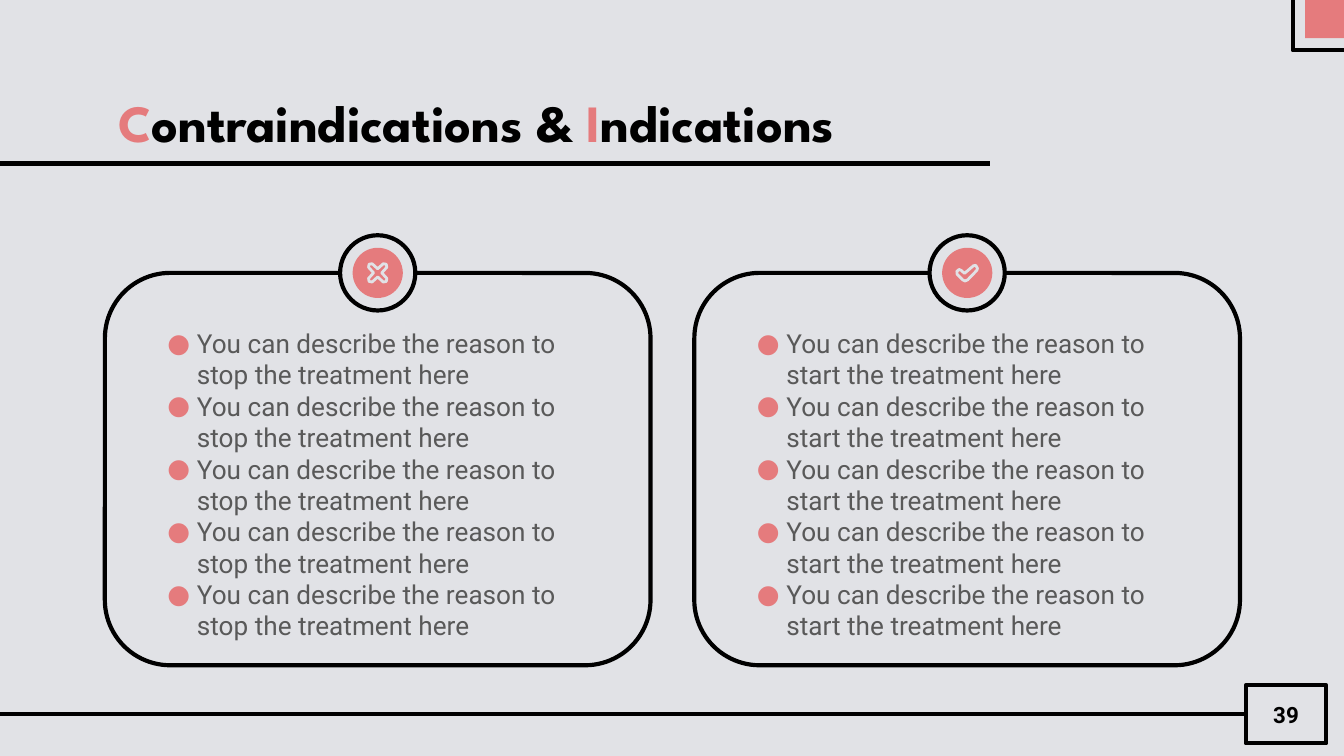
from lxml import etree
from pptx import Presentation
from pptx import util as u
from pptx.dml.color import RGBColor
from pptx.enum import shapes, text
from pptx.oxml.ns import qn

Pt = u.Pt
CORAL, BLACK, GREY, PAPER = "E57B7D", "000000", "595959", "E1E2E6"
STROKE = 2.25
CARD_TOP, CARD_WIDTH, CARD_HEIGHT = 146.2, 292.3, 210.2
CROSS_ARM = [(0, -2.2), (3, -4.9), (4.6, -4.6), (4.9, -3)]
CROSS = CROSS_ARM + [(-y, x) for x, y in CROSS_ARM]
CROSS += [(-x, -y) for x, y in CROSS]
CHECK = [(-1.4, 0.3), (3.4, -3.8), (4.6, -4), (5.5, -2.5), (5.3, -1.4), (0.3, 3.8),
         (-1.2, 4.4), (-2.5, 3.7), (-5.4, 0.7), (-5.5, -0.8), (-4.3, -1.8), (-3.2, -1.3)]


def color(value):
    return RGBColor.from_string(value)


def paint(shape, fill=None, line=None, width=STROKE):
    shape.shadow.inherit = False
    if fill:
        shape.fill.solid()
        shape.fill.fore_color.rgb = color(fill)
    else:
        shape.fill.background()
    if line:
        shape.line.color.rgb = color(line)
        shape.line.width = Pt(width)
    else:
        shape.line.fill.background()


def add_shape(page, kind, left, top, width, height, **style):
    shape = page.shapes.add_shape(kind, Pt(left), Pt(top), Pt(width), Pt(height))
    paint(shape, **style)
    return shape


def add_line(page, left, right, top):
    line = page.shapes.add_connector(
        shapes.MSO_CONNECTOR.STRAIGHT, Pt(left), Pt(top), Pt(right), Pt(top))
    line.line.color.rgb = color(BLACK)
    line.line.width = Pt(STROKE)
    etree.SubElement(line._element.spPr, qn("a:effectLst"))
    return line


def set_frame(box):
    frame = box.text_frame
    settings = {"word_wrap": True, "auto_size": text.MSO_AUTO_SIZE.NONE,
                "vertical_anchor": text.MSO_ANCHOR.MIDDLE}
    settings.update({f"margin_{side}": Pt(7.2) for side in ("left", "top", "right", "bottom")})
    for name, value in settings.items():
        setattr(frame, name, value)
    return frame


def add_span(para, words, tint, **font):
    span = para.add_run()
    span.text = words
    for name, value in font.items():
        setattr(span.font, name, value)
    span.font.color.rgb = color(tint)


def add_bullet(para):
    properties = para._p.get_or_add_pPr()
    properties.set("marL", str(Pt(18)))
    properties.set("indent", str(Pt(-15.84)))
    tint = etree.SubElement(properties, qn("a:buClr"))
    etree.SubElement(tint, qn("a:srgbClr"), val=CORAL)
    etree.SubElement(properties, qn("a:buFont"), typeface="Roboto")
    etree.SubElement(properties, qn("a:buChar"), char="●")


def add_title(page):
    title = page.shapes.title
    place = {"left": 56.2, "top": 42.5, "width": 607.7, "height": 45.4}
    for name, value in place.items():
        setattr(title, name, Pt(value))
    para = set_frame(title).paragraphs[0]
    para.alignment = text.PP_ALIGN.LEFT
    for words, tint in [("C", CORAL), ("ontraindications & ", BLACK),
                        ("I", CORAL), ("ndications", BLACK)]:
        add_span(para, words, tint, name="League Spartan", size=Pt(28), bold=True)


def add_disc(page, center, diameter, **style):
    add_shape(page, shapes.MSO_SHAPE.OVAL, center - diameter / 2, CARD_TOP - diameter / 2,
              diameter, diameter, **style)


def add_badge(page, center, mark):
    add_disc(page, center, 40.3, fill=PAPER, line=BLACK)
    add_disc(page, center, 26.9, fill=CORAL)
    points = [(Pt(center + x), Pt(CARD_TOP + y)) for x, y in mark]
    builder = page.shapes.build_freeform(*points[0])
    builder.add_line_segments(points[1:], close=True)
    paint(builder.convert_to_shape(), fill=CORAL, line=PAPER, width=1.5)


def add_card(page, left, words, mark):
    add_shape(page, shapes.MSO_SHAPE.ROUNDED_RECTANGLE, left, CARD_TOP,
              CARD_WIDTH, CARD_HEIGHT, fill=PAPER, line=BLACK)
    add_badge(page, left + CARD_WIDTH / 2, mark)
    box = page.shapes.add_textbox(Pt(left + 24.2), Pt(170.6), Pt(243.4), Pt(177.8))
    frame = set_frame(box)
    for index in range(5):
        para = frame.add_paragraph() if index else frame.paragraphs[0]
        add_bullet(para)
        add_span(para, words, GREY, name="Roboto", size=Pt(14))


def add_footer(page, number):
    rule = add_line(page, -6, 667.4, 382.7)
    box = add_shape(page, shapes.MSO_SHAPE.RECTANGLE, 667.4, 367.2, 43.2, 31, line=BLACK)
    rule.end_connect(box, 1)
    para = set_frame(box).paragraphs[0]
    para.alignment = text.PP_ALIGN.CENTER
    add_span(para, number, BLACK, name="Roboto", size=Pt(12), bold=True)


def add_corner(page):
    add_shape(page, shapes.MSO_SHAPE.RECTANGLE, 699.1, 0, 20.9, 20.5, fill=CORAL)
    add_shape(page, shapes.MSO_SHAPE.RECTANGLE, 692.6, -16.2, 43.2, 43.2, line=BLACK)


def main():
    deck = Presentation()
    deck.slide_width, deck.slide_height = Pt(720), Pt(405)
    page = deck.slides.add_slide(deck.slide_layouts[5])
    page.background.fill.solid()
    page.background.fill.fore_color.rgb = color(PAPER)
    add_corner(page)
    add_footer(page, "39")
    add_title(page)
    add_line(page, -7.2, 530.4, 87.6)
    add_card(page, 56.2, "You can describe the reason to stop the treatment here", CROSS)
    add_card(page, 372, "You can describe the reason to start the treatment here", CHECK)
    deck.save("out.pptx")


if __name__ == "__main__":
    main()
